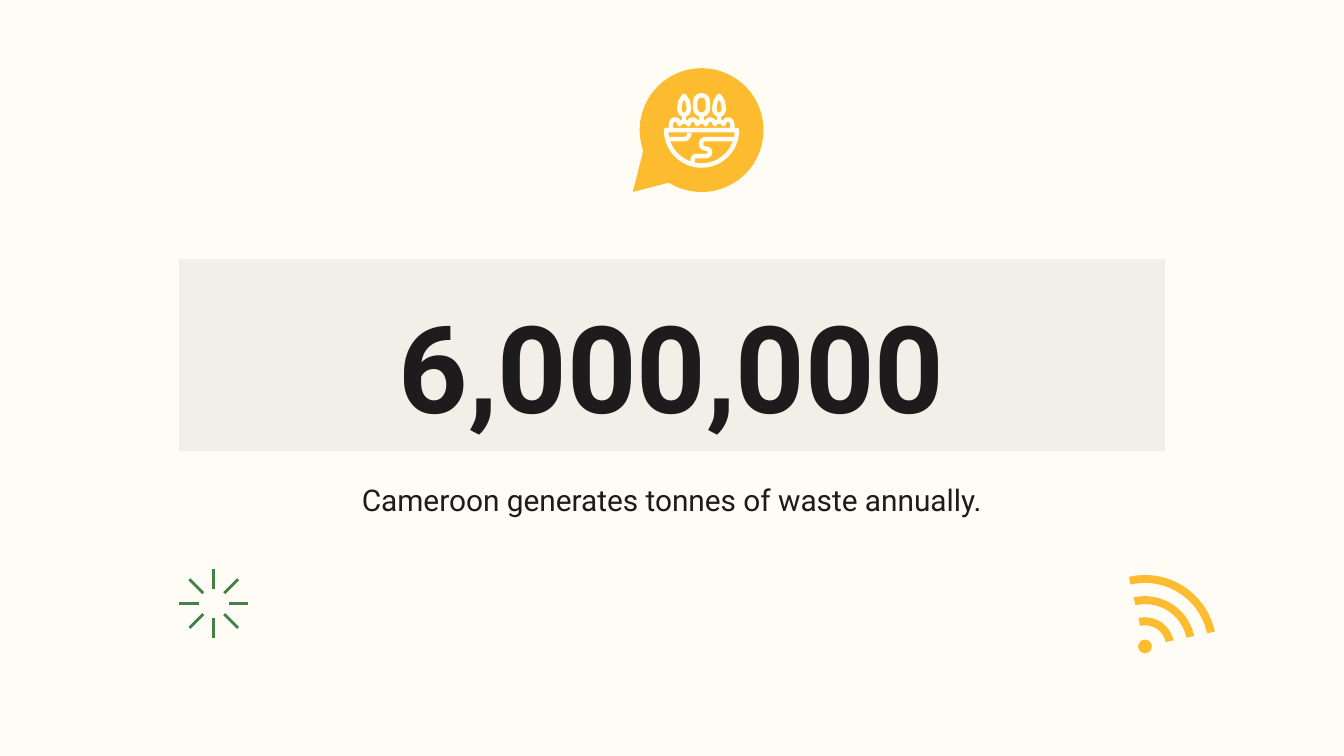
import math
import pptx
import pptx.util
import pptx.dml.color
import pptx.enum.shapes
import pptx.enum.text
import pptx.oxml.ns
from lxml import etree

Cm = pptx.util.Cm
Pt = pptx.util.Pt
KIND = pptx.enum.shapes.MSO_SHAPE
ANCHOR = pptx.enum.text.MSO_ANCHOR

CREAM, SAND, INK = "FFFCF6", "F2EFE8", "1D1B1C"
GOLD, GREEN = "FDBC2F", "44804A"


def color(text):
    return pptx.dml.color.RGBColor.from_string(text)


def arc(x, y, rx, ry, start, end, steps=24):
    """Points on an ellipse; degrees run clockwise from the right."""
    turns = [math.radians(start + (end - start) * i / steps)
             for i in range(steps + 1)]
    return [(x + rx * math.cos(t), y + ry * math.sin(t)) for t in turns]


class Deck:
    font = "Roboto"
    inset = Cm(0.25)

    def __init__(self, wide, high):
        self.prs = pptx.Presentation()
        self.prs.slide_width, self.prs.slide_height = Cm(wide), Cm(high)
        self.slide = self.prs.slides.add_slide(self.prs.slide_layouts[6])
        self.slide.background.fill.solid()
        self.slide.background.fill.fore_color.rgb = color(CREAM)

    def paint(self, shape, fill=None, line=None, width=1):
        shape.shadow.inherit = False
        if fill:
            shape.fill.solid()
            shape.fill.fore_color.rgb = color(fill)
        else:
            shape.fill.background()
        if line:
            shape.line.color.rgb = color(line)
            shape.line.width = Pt(width)
        else:
            shape.line.fill.background()
        return shape

    def shape(self, kind, x, y, w, h, **style):
        item = self.slide.shapes.add_shape(kind, Cm(x), Cm(y), Cm(w), Cm(h))
        return self.paint(item, **style)

    def disc(self, x, y, r, fill):
        self.shape(KIND.OVAL, x - r, y - r, 2 * r, 2 * r, fill=fill)

    def free(self, dots, close=True, **style):
        dots = [(Cm(x), Cm(y)) for x, y in dots]
        pen = self.slide.shapes.build_freeform(*dots[0])
        pen.add_line_segments(dots[1:], close=close)
        self.paint(pen.convert_to_shape(), **style)

    def line(self, x1, y1, x2, y2, tint, width):
        item = self.slide.shapes.add_connector(
            pptx.enum.shapes.MSO_CONNECTOR.STRAIGHT,
            Cm(x1), Cm(y1), Cm(x2), Cm(y2))
        item.line.color.rgb = color(tint)
        item.line.width = Pt(width)
        props = item._element.spPr
        etree.SubElement(props, pptx.oxml.ns.qn("a:effectLst"))

    def text(self, item, words, size, bold=False, anchor=ANCHOR.TOP):
        frame = item.text_frame
        frame.word_wrap = True
        frame.vertical_anchor = anchor
        frame.margin_left = frame.margin_right = self.inset
        frame.margin_top = frame.margin_bottom = self.inset
        para = frame.paragraphs[0]
        para.alignment = pptx.enum.text.PP_ALIGN.CENTER
        run = para.add_run()
        run.text = words
        run.font.name, run.font.size, run.font.bold = self.font, Pt(size), bold
        run.font.color.rgb = color(INK)

    def box(self, x, y, w, h, words, size):
        item = self.slide.shapes.add_textbox(Cm(x), Cm(y), Cm(w), Cm(h))
        self.text(item, words, size)


def burst(deck, x, y):
    for turn in range(0, 360, 45):
        dx, dy = math.cos(math.radians(turn)), math.sin(math.radians(turn))
        deck.line(x + 0.28 * dx, y + 0.28 * dy,
                  x + 0.65 * dx, y + 0.65 * dy, GREEN, 1.58)


def signal(deck, x, y):
    """Three bent bands over a dot."""
    for r in (1.35, 0.95, 0.55):
        low = r - 0.15
        band = arc(x, y, r, r, -103, -12) + arc(x, y, low, low, -12, -103)
        deck.free(band, fill=GOLD)
    deck.disc(x, y, 0.13, GOLD)


def bubble(deck, x, y):
    """Speech bubble with a bowl of land, trees and rivers."""
    deck.disc(x, y, 1.17, GOLD)
    deck.free([(x - 1.3, y + 1.17), (x - 1.1, y + 0.38),
               (x - 0.61, y + 0.99)], fill=GOLD)

    def draw(dots, close=False):
        deck.free([(x + dx, y + dy) for dx, dy in dots], close,
                  line=CREAM, width=2.4)

    draw(arc(0, 0, 0.67, 0.67, 0, 180), True)
    for mid in (-0.33, 0.33):
        leaf = arc(mid, -0.41, 0.09, 0.12, 0, 180)
        draw(leaf + [(mid - 0.07, -0.54), (mid, -0.65),
                     (mid + 0.07, -0.54)], True)
    crown = deck.shape(KIND.ROUNDED_RECTANGLE, x - 0.12, y - 0.66, 0.24, 0.37,
                       line=CREAM, width=2.4)
    crown.adjustments[0] = 0.5
    for mid in (-0.33, 0, 0.33):
        deck.line(x + mid, y - 0.29, x + mid, y - 0.15, CREAM, 2.4)

    hedge = [(-0.58, 0)]
    for i in range(7):
        rise = 0.05 if i % 2 else 0.09
        hedge += arc(-0.5 + i / 6, -0.11, 0.08, rise, 180, 360, 8)
    draw(hedge + [(0.58, 0)])

    draw([(-0.62, 0.17)] + arc(-0.33, 0.05, 0.1, 0.12, 90, 0))
    draw([(0.61, 0.17)] + arc(0.08, 0.26, 0.09, 0.09, 270, 90)
         + arc(0.08, 0.42, 0.08, 0.07, -90, 90)
         + arc(-0.1, 0.57, 0.07, 0.08, 270, 180) + [(-0.17, 0.64)])


def main():
    deck = Deck(25.4, 14.29)
    left, wide = 3.38, 18.64
    panel = deck.shape(KIND.RECTANGLE, left, 4.9, wide, 3.63, fill=SAND)
    deck.text(panel, "6,000,000", 65, True, ANCHOR.BOTTOM)
    deck.box(left, 8.86, wide, 1.37,
             "Cameroon generates tonnes of waste annually.", 16)
    burst(deck, 4.04, 11.41)
    bubble(deck, 13.26, 2.46)
    signal(deck, 21.64, 12.22)
    deck.prs.save("out.pptx")


if __name__ == "__main__":
    main()
